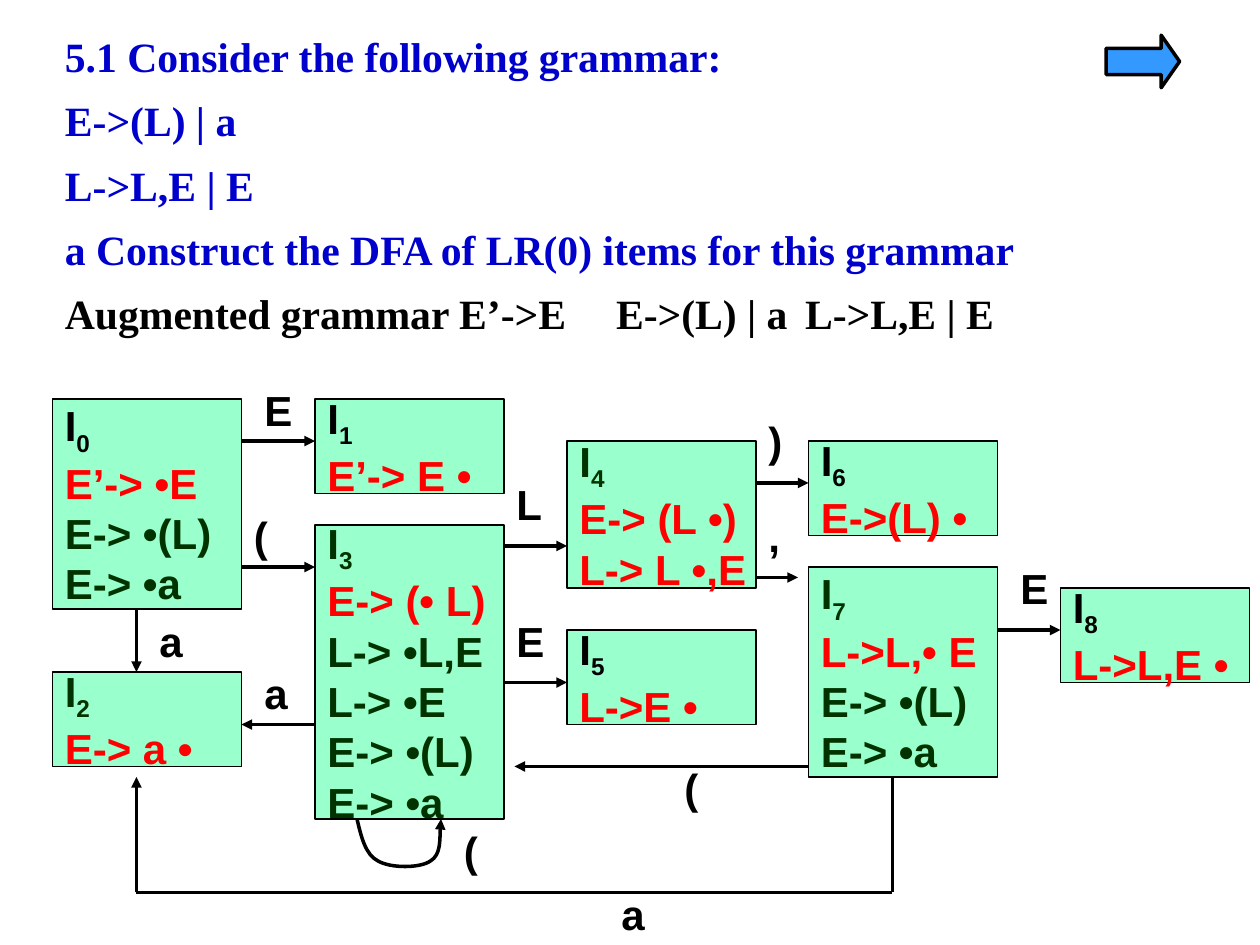
from dataclasses import dataclass

from lxml.etree import SubElement
from pptx import Presentation
from pptx.dml.color import RGBColor
from pptx.enum.shapes import MSO_CONNECTOR as Line, MSO_SHAPE as Preset
from pptx.enum.text import MSO_ANCHOR as Anchor, PP_ALIGN as Align
from pptx.oxml.ns import qn
from pptx.util import Cm, Pt

GRID = Cm(2.54) // 12  # the diagram sits on a grid of twelfths of an inch
STATE_WIDTH = 18


@dataclass(frozen=True)
class Theme:
    black: str = "000000"
    question: str = "0000CC"
    kernel: str = "FF0000"
    closure: str = "003300"
    state: str = "99FFCC"
    pointer: str = "3399FF"
    question_font: str = "Times New Roman"
    diagram_font: str = "Arial"
    question_size: float = 23.8
    diagram_size: float = 24
    thin: float = 0.75
    thick: float = 2


THEME = Theme()
BLACK, GREEN = THEME.black, THEME.closure
QUESTION_FONT = {"name": THEME.question_font, "size": Pt(THEME.question_size), "bold": True}
DIAGRAM_FONT = {"name": THEME.diagram_font, "size": Pt(THEME.diagram_size), "bold": True}

QUESTION = [
    "5.1 Consider the following grammar:",
    "E->(L) | a",
    "L->L,E | E",
    "a Construct the DFA of LR(0) items for this grammar",
]
AUGMENTED = "Augmented grammar E’->E \tE->(L) | a \tL->L,E | E"

# left, top, height, heading colour, kernel items, closure items
STATES = [
    (5, 38, 20, BLACK, ["E’-> •E"], ["E-> •(L)", "E-> •a"]),
    (30, 38, 9, BLACK, ["E’-> E •"], []),
    (5, 64, 9, GREEN, ["E-> a •"], []),
    (30, 50, 28, GREEN, ["E-> (• L)"], ["L-> •L,E", "L-> •E", "E-> •(L)", "E-> •a"]),
    (54, 42, 14, GREEN, ["E-> (L •)", "L-> L •,E"], []),
    (54, 60, 9, BLACK, ["L->E •"], []),
    (77, 42, 9, BLACK, ["E->(L) •"], []),
    (77, 54, 20, GREEN, ["L->L,• E"], ["E-> •(L)", "E-> •a"]),
    (101, 56, 9, BLACK, ["L->L,E •"], []),
]

# each transition runs through its points and ends in an arrowhead
TRANSITIONS = [
    [(13, 58), (13, 64)],
    [(23, 42), (30, 42)],
    [(23, 54), (30, 54)],
    [(48, 52), (54, 52)],
    [(48, 65), (54, 65)],
    [(30, 69), (23, 69)],
    [(72, 46), (77, 46)],
    [(72, 55), (76, 55)],
    [(95, 60), (101, 60)],
    [(77, 73), (49, 73)],
    [(85, 74), (85, 85), (13, 85), (13, 74)],
]

# start point, then three Bezier points for each curve
SELF_LOOP = [
    (34, 78),
    (34.4, 79.7), (34.8, 81.4), (36, 82),
    (37.2, 82.7), (40, 82.7), (41, 82),
    (42, 81.4), (41.9, 78.7), (42, 78),
]

SYMBOLS = [
    ("E", 24, 36), ("(", 23, 48), ("a", 14, 58), ("L", 48, 45),
    ("E", 48, 58), ("(", 43, 78), ("a", 24, 63), (")", 72, 39),
    (",", 72, 48), ("(", 64, 72), ("a", 58, 84), ("E", 96, 53),
]


def on_grid(*steps):
    return [round(step * GRID) for step in steps]


def set_all(target, values):
    for name, value in values.items():
        setattr(target, name, value)


def add_run(paragraph, text, font_values, color):
    run = paragraph.add_run()
    run.text = text
    set_all(run.font, font_values)
    run.font.color.rgb = RGBColor.from_string(color)
    return run


def next_paragraph(frame, index):
    return frame.add_paragraph() if index else frame.paragraphs[0]


def style_line(line, width):
    line.color.rgb = RGBColor.from_string(THEME.black)
    line.width = Pt(width)


def add_arrowhead(shape):
    SubElement(shape.line._get_or_add_ln(), qn("a:tailEnd"), type="triangle")


def add_filled(slide, preset, box, fill, width):
    shape = slide.shapes.add_shape(preset, *box)
    shape.shadow.inherit = False
    shape.fill.solid()
    shape.fill.fore_color.rgb = RGBColor.from_string(fill)
    style_line(shape.line, width)
    return shape


def add_question(slide):
    frame = slide.shapes.add_textbox(Cm(1.06), Cm(0.42), Cm(23.5), Cm(7.41)).text_frame
    set_all(frame, {"word_wrap": True, "margin_top": Cm(0.2)})
    lines = [(text, THEME.question) for text in QUESTION] + [(AUGMENTED, BLACK)]
    for index, (text, color) in enumerate(lines):
        paragraph = next_paragraph(frame, index)
        if index:
            paragraph.space_before = Pt(8.2)
        properties = paragraph._p.get_or_add_pPr()
        properties.set("marL", str(Cm(0.95)))
        properties.set("indent", str(-Cm(0.95)))
        tabs = SubElement(properties, qn("a:tabLst"))
        for inch in range(8):
            SubElement(tabs, qn("a:tab"), pos=str(Cm(2.54) * inch), algn="l")
        add_run(paragraph, text, QUESTION_FONT, color)


def add_state(slide, number, left, top, height, heading_color, kernel, closure):
    box = on_grid(left, top, STATE_WIDTH, height)
    frame = add_filled(slide, Preset.RECTANGLE, box, THEME.state, THEME.thin).text_frame
    set_all(frame, {"word_wrap": False, "vertical_anchor": Anchor.MIDDLE})
    items = [(item, THEME.kernel) for item in kernel]
    items += [(item, THEME.closure) for item in closure]
    for index, (text, color) in enumerate([("I", heading_color)] + items):
        paragraph = next_paragraph(frame, index)
        paragraph.alignment = Align.LEFT
        add_run(paragraph, text, DIAGRAM_FONT, color)
    subscript = add_run(frame.paragraphs[0], str(number), DIAGRAM_FONT, heading_color)
    subscript._r.get_or_add_rPr().set("baseline", "-25000")


def add_transition(slide, points):
    for start, end in zip(points, points[1:]):
        segment = slide.shapes.add_connector(Line.STRAIGHT, *on_grid(*start, *end))
        style_line(segment.line, THEME.thick)
        SubElement(segment._element.spPr, qn("a:effectLst"))
    add_arrowhead(segment)


def add_self_loop(slide):
    """Draw the control polygon, then turn each three segments into a curve."""
    start, *controls = [on_grid(*point) for point in SELF_LOOP]
    builder = slide.shapes.build_freeform(*start)
    builder.add_line_segments(controls, close=False)
    loop = builder.convert_to_shape()
    loop.shadow.inherit = False
    loop.fill.background()
    style_line(loop.line, THEME.thick)
    add_arrowhead(loop)
    outline = next(loop._element.iter(qn("a:path")))
    for index, segment in enumerate(outline.findall(qn("a:lnTo"))):
        if index % 3 == 0:
            curve = SubElement(outline, qn("a:cubicBezTo"))
        curve.append(segment[0])
        outline.remove(segment)


def add_symbol(slide, text, left, top):
    frame = slide.shapes.add_textbox(*on_grid(left, top, 5, 6)).text_frame
    frame.word_wrap = True
    add_run(frame.paragraphs[0], text, DIAGRAM_FONT, BLACK)


def add_pointer(slide):
    box = Cm(22.3), Cm(0.71), Cm(1.48), Cm(1.06)
    pointer = add_filled(slide, Preset.RIGHT_ARROW, box, THEME.pointer, THEME.thick)
    pointer.adjustments[1] = 0.35


def main():
    deck = Presentation()
    set_all(deck, {"slide_width": Cm(25.4), "slide_height": Cm(19.05)})
    slide = deck.slides.add_slide(deck.slide_layouts[6])
    add_question(slide)
    for number, state in enumerate(STATES):
        add_state(slide, number, *state)
    for points in TRANSITIONS:
        add_transition(slide, points)
    add_self_loop(slide)
    for symbol in SYMBOLS:
        add_symbol(slide, *symbol)
    add_pointer(slide)
    deck.save("out.pptx")


if __name__ == "__main__":
    main()
